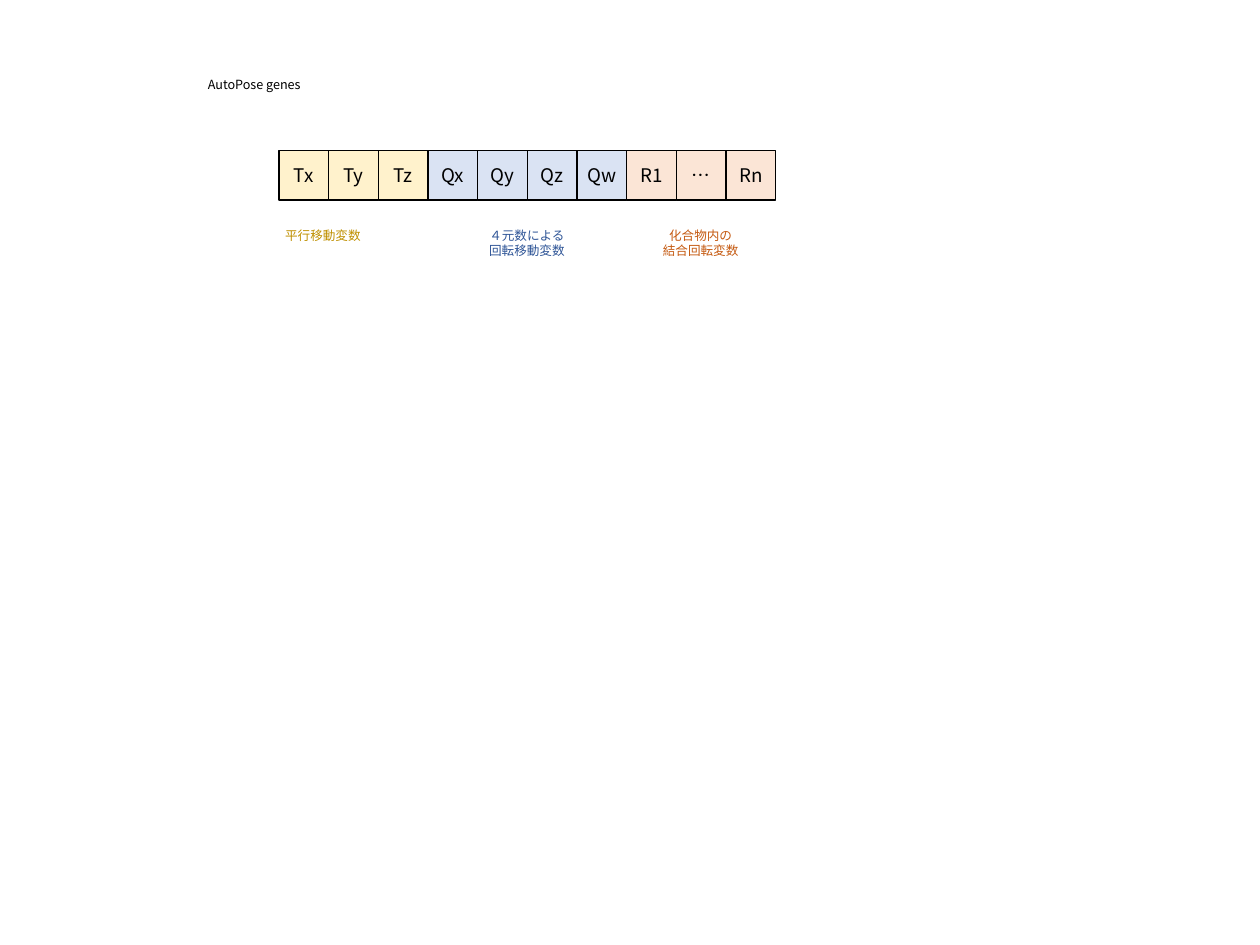
from lxml import etree
from pptx import Presentation
from pptx.dml.color import RGBColor
from pptx.enum.shapes import MSO_SHAPE
from pptx.enum.text import MSO_ANCHOR, MSO_AUTO_SIZE, PP_ALIGN
from pptx.oxml.ns import qn
from pptx.util import Inches, Pt

RECT = MSO_SHAPE.RECTANGLE
LEFT, CENTER = PP_ALIGN.LEFT, PP_ALIGN.CENTER
TOP, MIDDLE = MSO_ANCHOR.TOP, MSO_ANCHOR.MIDDLE
FIXED = MSO_AUTO_SIZE.NONE
FONT = "Noto Sans CJK JP"

# Content
TITLE = "AutoPose genes"
COLORS = {
    "black": "000000",
    "gold": "BF9000", "gold fill": "FFF2CC",
    "blue": "2F5597", "blue fill": "DAE3F3",
    "orange": "C55A11", "orange fill": "FBE5D6",
}
# Each group: color, genes, label lines, label left, alignment
GROUPS = [
    ("gold", ["Tx", "Ty", "Tz"], ["平行移動変数"], 3.07, LEFT),
    ("blue", ["Qx", "Qy", "Qz", "Qw"],
     ["４元数による", "回転移動変数"], 5.33, CENTER),
    ("orange", ["R1", "…", "Rn"],
     ["化合物内の", "結合回転変数"], 7.26, CENTER),
]

# Layout in inches
ROW_LEFT, ROW_TOP, ROW_WIDTH = 3.1, 1.67, 5.52
CELL = ROW_WIDTH / sum(len(genes) for _, genes, *_ in GROUPS)
LABEL_TOP, LABEL_WIDTH = 2.48, 1.05
PAD, LINE = 0.1, 0.17


def color(name):
    return RGBColor.from_string(COLORS[name])


def write(shape, lines, size=10.1, ink="black", align=LEFT, anchor=TOP,
          wrap=False):
    frame = shape.text_frame
    frame.text = "\n".join(lines)
    frame.auto_size = FIXED
    frame.word_wrap = wrap
    frame.vertical_anchor = anchor
    frame.margin_left = frame.margin_right = Inches(0 if wrap else 0.1)
    frame.margin_top = frame.margin_bottom = Inches(0.05)
    for para in frame.paragraphs:
        para.alignment = align
        para.line_spacing = 1.0
        para.space_before = Pt(0)
        for run in para.runs:
            run.font.size = Pt(size)
            run.font.name = FONT
            run.font.color.rgb = color(ink)
            # East Asian typeface
            east = etree.SubElement(run.font._element, qn("a:ea"))
            east.set("typeface", FONT)


def main():
    deck = Presentation()
    deck.slide_width, deck.slide_height = Inches(14), Inches(10.5)
    slide = deck.slides.add_slide(deck.slide_layouts[5])
    shapes = slide.shapes

    # Title
    title = shapes.title
    title.left, title.top = Inches(2.21), Inches(0.8)
    title.width, title.height = Inches(1.32), Inches(PAD + LINE)
    write(title, [TITLE])

    # Gene row and group labels
    spot = 0
    for hue, genes, lines, left, align in GROUPS:
        for gene in genes:
            box = shapes.add_shape(
                RECT, Inches(ROW_LEFT + spot * CELL), Inches(ROW_TOP),
                Inches(CELL), Inches(CELL))
            box.shadow.inherit = False
            box.fill.solid()
            box.fill.fore_color.rgb = color(hue + " fill")
            box.line.color.rgb = color("black")
            box.line.width = Pt(1)
            write(box, [gene], size=15, align=CENTER, anchor=MIDDLE,
                  wrap=True)
            spot += 1
        label = shapes.add_textbox(
            Inches(left), Inches(LABEL_TOP), Inches(LABEL_WIDTH),
            Inches(PAD + LINE * len(lines)))
        write(label, lines, ink=hue, align=align)

    deck.save("out.pptx")


if __name__ == "__main__":
    main()
